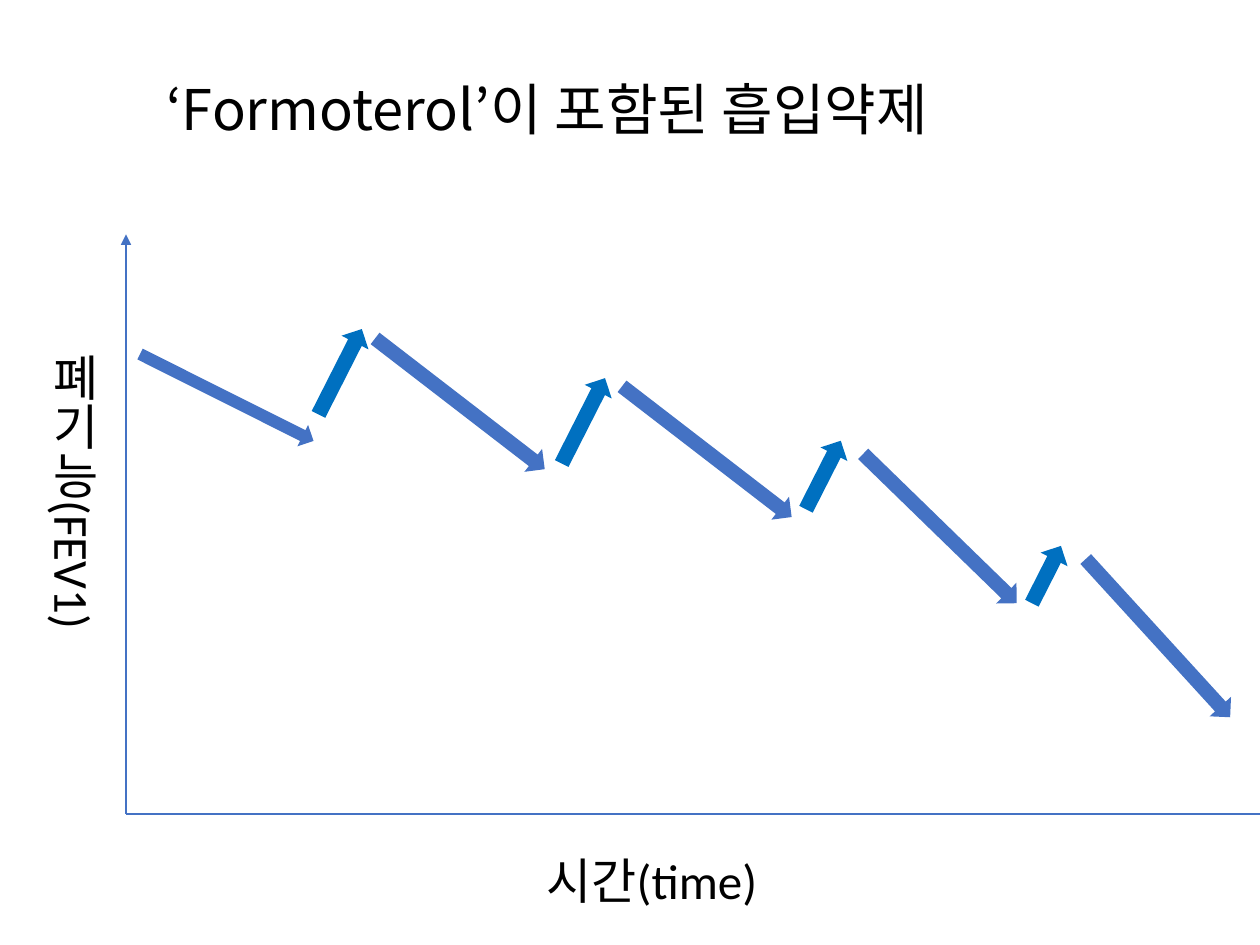
from lxml import etree
from pptx import Presentation
from pptx import util as u
from pptx.dml.color import RGBColor
from pptx.enum import shapes, text
from pptx.oxml.ns import qn

HANGUL_FONT = "Noto Sans CJK KR"
DECLINE = "4472C4"
RECOVERY = "0070C0"

DECLINES = [
    (1.03, 3.06, 1.54, 0.19, 26.6),
    (2.8, 3.09, 1.7, 0.23, 37.6),
    (4.76, 3.47, 1.7, 0.23, 37.6),
    (6.61, 4.08, 1.7, 0.23, 44.2),
    (8.34, 4.95, 1.7, 0.23, 47.6),
]
RECOVERIES = [
    (2.32, 2.83, 0.76),
    (4.25, 3.22, 0.76),
    (6.23, 3.65, 0.61),
    (8.05, 4.44, 0.51),
]


def color(value):
    return RGBColor.from_string(value)


def place(shape, left, top, width, height):
    shape.left, shape.top = u.Inches(left), u.Inches(top)
    shape.width, shape.height = u.Inches(width), u.Inches(height)


def write(box, content, size=28, font="Calibri", anchor=text.MSO_ANCHOR.TOP,
          spacing=None, after=None, vertical=False):
    frame = box.text_frame
    frame.word_wrap = True
    frame.vertical_anchor = anchor
    if vertical:
        frame._txBody.bodyPr.set("vert", "eaVert")
    para = frame.paragraphs[0]
    para.alignment = text.PP_ALIGN.LEFT
    para.line_spacing = spacing
    if after is not None:
        para.space_after = u.Pt(after)
    span = para.add_run()
    span.text = content
    span.font.size = u.Pt(size)
    span.font.name = font
    span.font.color.rgb = color("000000")
    east_asian = etree.SubElement(span.font._element, qn("a:ea"))
    east_asian.set("typeface", HANGUL_FONT)


def add_title(page, content):
    title = page.shapes.title
    place(title, 1.22, 0.17, 8.62, 1.45)
    write(title, content, size=32, font=HANGUL_FONT,
          anchor=text.MSO_ANCHOR.MIDDLE, spacing=0.9)


def add_label(page, content, left, top, width, height, **format):
    box = page.shapes.add_textbox(0, 0, 0, 0)
    place(box, left, top, width, height)
    write(box, content, after=6, **format)


def add_axis(page, start, end, arrowhead=False):
    axis = page.shapes.add_connector(
        shapes.MSO_CONNECTOR.STRAIGHT, *map(u.Inches, start + end))
    axis.line.color.rgb = color(DECLINE)
    axis.line.width = u.Pt(1)
    if arrowhead:
        head = etree.SubElement(axis.line._get_or_add_ln(), qn("a:tailEnd"))
        head.set("type", "triangle")
    etree.SubElement(axis._element.spPr, qn("a:effectLst"))


def add_trend(page, left, top, width, height, angle, fill):
    arrow = page.shapes.add_shape(shapes.MSO_SHAPE.RIGHT_ARROW, 0, 0, 0, 0)
    place(arrow, left, top, width, height)
    arrow.rotation = angle
    arrow.shadow.inherit = False
    arrow.fill.solid()
    arrow.fill.fore_color.rgb = color(fill)
    arrow.line.fill.background()


def main():
    deck = Presentation()
    deck.slide_width, deck.slide_height = u.Inches(10), u.Inches(7.5)
    page = deck.slides.add_slide(deck.slide_layouts[5])

    add_title(page, "‘Formoterol’이 포함된 흡입약제")
    add_axis(page, (1, 6.46), (1, 1.86), arrowhead=True)
    add_axis(page, (1, 6.46), (10, 6.46))
    for decline in DECLINES:
        add_trend(page, *decline, DECLINE)
    for left, top, width in RECOVERIES:
        add_trend(page, left, top, width, 0.24, 296.9, RECOVERY)
    add_label(page, "시간(time)", 4.24, 6.7, 2.59, 0.57)
    add_label(page, "폐기능(FEV1)", 0.2, 2.71, 0.67, 2.77, vertical=True)

    deck.save("out.pptx")


if __name__ == "__main__":
    main()
